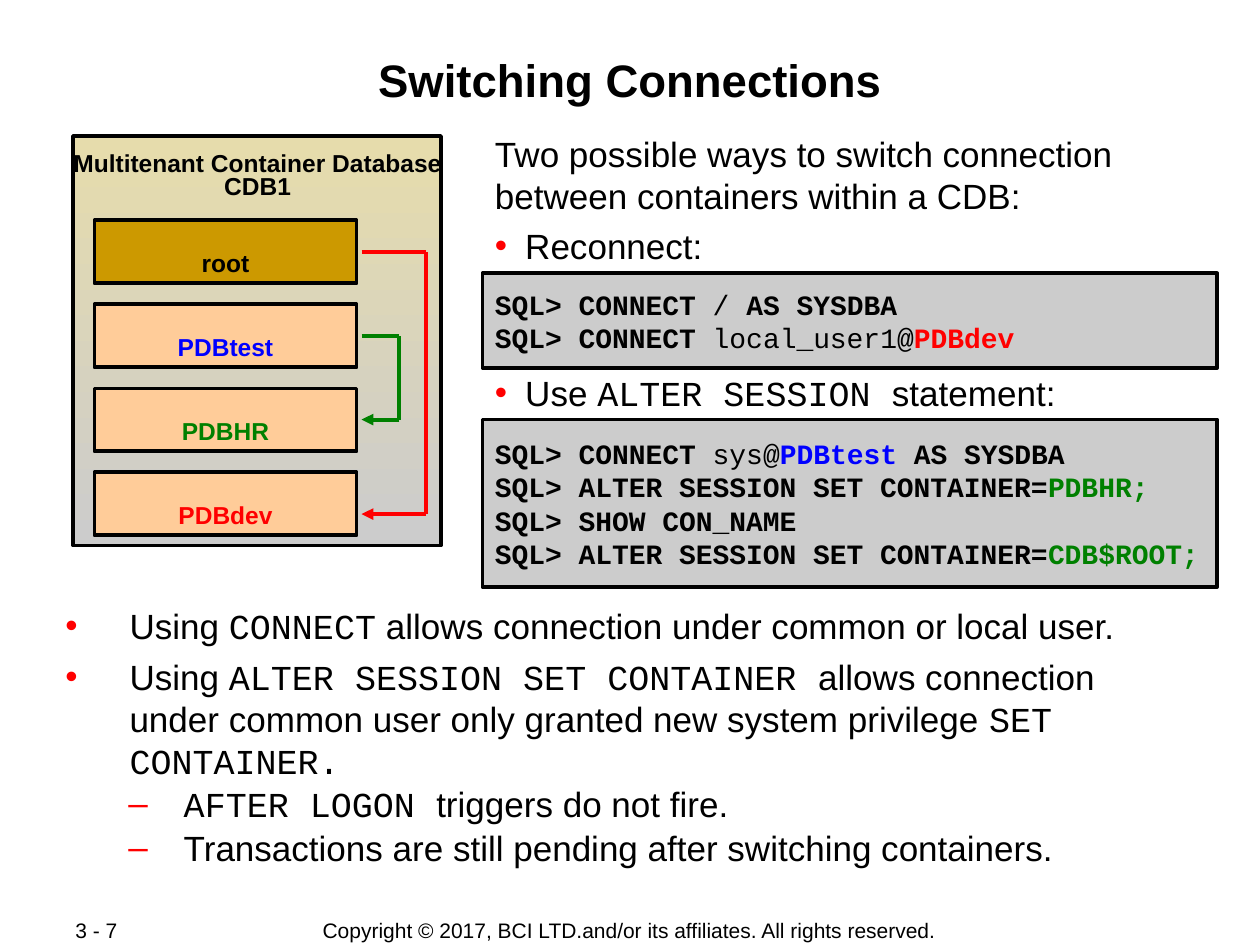
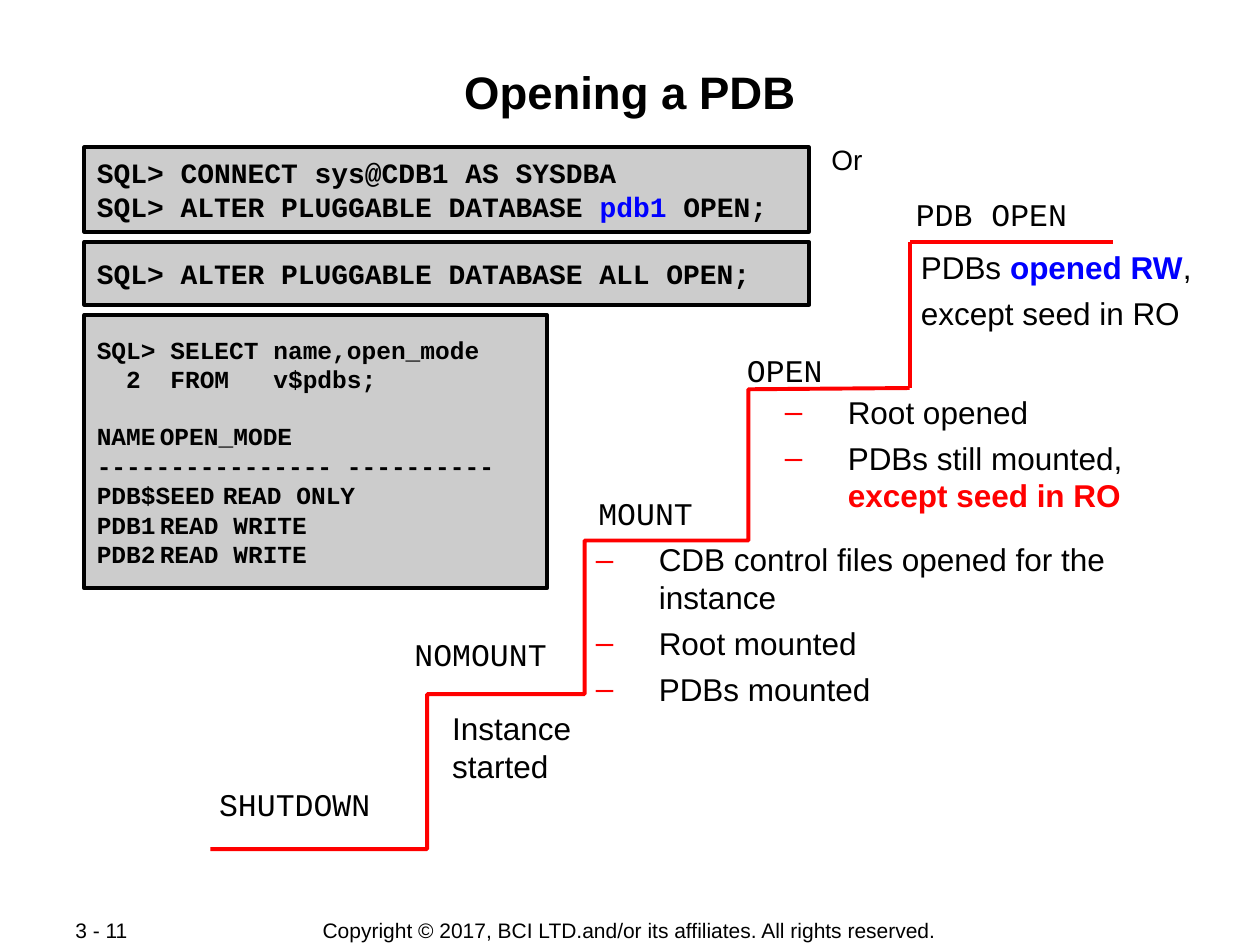
from dataclasses import dataclass
from lxml.etree import SubElement
from pptx import Presentation
from pptx.dml.color import RGBColor
from pptx.enum.shapes import MSO_CONNECTOR, MSO_SHAPE
from pptx.enum.text import MSO_ANCHOR, MSO_AUTO_SIZE, PP_ALIGN
from pptx.oxml.ns import qn
from pptx.util import Inches, Pt

BLACK = RGBColor(0x00, 0x00, 0x00)
RED = RGBColor(0xFF, 0x00, 0x00)
BLUE = RGBColor(0x00, 0x00, 0xFF)
GREEN = RGBColor(0x00, 0x80, 0x00)
GREY = RGBColor(0xCC, 0xCC, 0xCC)
SAND = RGBColor(0xE6, 0xDC, 0xAC)
GOLD = RGBColor(0xCC, 0x99, 0x00)
PEACH = RGBColor(0xFF, 0xCC, 0x99)
SANS, MONO = "Arial", "Courier New"
STROKE = Pt(2.25)
COPYRIGHT = "Copyright © 2017, BCI LTD.and/or its affiliates. All rights reserved."


@dataclass
class Span:
    """A piece of text; unset values come from its box."""
    text: str
    color: RGBColor = BLACK
    bold: bool | None = None
    font: str | None = None


@dataclass
class Line:
    """A paragraph of strings and spans with its spacing, bullet and tab stop."""
    spans: list
    before: float = 0
    bullet: str = ""
    margin: float = 0
    hang: float = 0
    tab: float = 0


def mono(text):
    """Return a span in the code font."""
    return Span(text, font=MONO)


def decorate(para, line):
    """Set the indents, bullet and tab stop of a paragraph."""
    props = para._p.get_or_add_pPr()
    props.set("marL", str(Inches(line.margin)))
    props.set("indent", str(Inches(-line.hang)))
    if line.bullet:
        color = SubElement(props, qn("a:buClr"))
        SubElement(color, qn("a:srgbClr"), val=str(RED))
        SubElement(props, qn("a:buFont"), typeface=SANS)
        SubElement(props, qn("a:buChar"), char=line.bullet)
    if line.tab:
        tabs = SubElement(props, qn("a:tabLst"))
        SubElement(tabs, qn("a:tab"), pos=str(Inches(line.tab)), algn="l")


def write(shape, lines, size, font=SANS, bold=False, align=PP_ALIGN.LEFT,
          anchor=MSO_ANCHOR.TOP, inset=0.05, wrap=True, spacing=None):
    """Fill a shape with lines of formatted text."""
    frame = shape.text_frame
    frame.word_wrap = wrap
    frame.auto_size = MSO_AUTO_SIZE.NONE
    frame.vertical_anchor = anchor
    frame.margin_left = frame.margin_right = Inches(0.1)
    frame.margin_top = frame.margin_bottom = Inches(inset)
    for index, line in enumerate(lines):
        if not isinstance(line, Line):
            line = Line(line if isinstance(line, list) else [line])
        para = frame.add_paragraph() if index else frame.paragraphs[0]
        decorate(para, line)
        para.alignment = align
        para.space_before = Pt(line.before)
        if spacing:
            para.line_spacing = spacing
        for span in line.spans:
            span = Span(span) if isinstance(span, str) else span
            run = para.add_run()
            run.text = span.text
            run.font.size = Pt(size)
            run.font.name = span.font or font
            run.font.bold = bold if span.bold is None else span.bold
            run.font.color.rgb = span.color


def add_text(page, box, lines, size, **style):
    """Add a text box with the given lines."""
    write(page.shapes.add_textbox(*map(Inches, box)), lines, size, **style)


def add_panel(page, box, fill=None):
    """Add a black-edged rectangle, filled plainly or with the sand gradient."""
    panel = page.shapes.add_shape(MSO_SHAPE.RECTANGLE, *map(Inches, box))
    panel.shadow.inherit = False
    panel.line.color.rgb = BLACK
    panel.line.width = STROKE
    if fill is not None:
        panel.fill.solid()
        panel.fill.fore_color.rgb = fill
    else:
        panel.fill.gradient()
        panel.fill.gradient_angle = 270
        for stop, color, position in zip(panel.fill.gradient_stops, (SAND, GREY), (0, 1)):
            stop.color.rgb = color
            stop.position = position
    return panel


def add_code(page, box, lines, size=16):
    """Add a grey panel of bold code."""
    write(add_panel(page, box, GREY), lines, size, font=MONO, bold=True,
          anchor=MSO_ANCHOR.MIDDLE, inset=0.01)


def add_line(page, start, end, color, arrow=False):
    """Add a straight line, with an arrowhead at its end when asked."""
    line = page.shapes.add_connector(MSO_CONNECTOR.STRAIGHT, *map(Inches, (*start, *end)))
    line.line.color.rgb = color
    line.line.width = STROKE
    if arrow:
        SubElement(line.line._get_or_add_ln(), qn("a:tailEnd"), type="triangle")
    SubElement(line._element.spPr, qn("a:effectLst"))


def add_page(deck, title, title_top, number):
    """Add a slide with its title and footer."""
    page = deck.slides.add_slide(deck.slide_layouts[5])
    heading = page.shapes.title
    heading.left, heading.top = Inches(0.67), Inches(title_top)
    heading.width, heading.height = Inches(8.66), Inches(0.96)
    write(heading, [title], 26, bold=True, align=PP_ALIGN.CENTER, inset=0.03)
    add_text(page, (2.75, 7.28, 4.49, 0.21), [COPYRIGHT], 12, align=PP_ALIGN.CENTER,
             anchor=MSO_ANCHOR.MIDDLE, wrap=False)
    add_text(page, (0.5, 7.28, 1.06, 0.2), [number], 12, anchor=MSO_ANCHOR.MIDDLE)
    return page


def draw_container(page, box):
    """Draw the container database, its parts and the switching arrows."""
    left, top, width, _ = box
    add_panel(page, box)
    add_text(page, (left - 0.16, top + 0.09, width + 0.33, 0.47),
             ["Multitenant Container Database CDB1"], 14, bold=True,
             align=PP_ALIGN.CENTER, spacing=0.8)
    members = [("root", GOLD, BLACK), ("PDBtest", PEACH, BLUE),
               ("PDBHR", PEACH, GREEN), ("PDBdev", PEACH, RED)]
    for index, (name, fill, color) in enumerate(members):
        member = add_panel(page, (left + 0.17, top + 0.67 + index * 2 / 3, 2.08, 0.5), fill)
        write(member, [Span(name, color)], 14, bold=True, align=PP_ALIGN.CENTER,
              anchor=MSO_ANCHOR.BOTTOM, wrap=False)
    edge = left + 2.29
    for lane, start, end, color in [(2.8, 0.92, 3, RED), (2.59, 1.59, 2.25, GREEN)]:
        lane, start, end = left + lane, top + start, top + end
        add_line(page, (edge, start), (lane, start), color)
        add_line(page, (lane, start), (lane, end), color)
        add_line(page, (lane, end), (edge, end), color, arrow=True)


def draw_methods(page, box):
    """Explain the two ways to switch, each with its code."""
    left, top, _, _ = box
    bullet = dict(bullet="•", margin=0.24, hang=0.24)
    add_text(page, box, [
        "Two possible ways to switch connection between containers within a CDB:",
        Line(["Reconnect:"], before=5, **bullet),
        Line(["Use ", mono("ALTER SESSION "), "statement:"], before=60, **bullet),
    ], 20)
    add_code(page, (left, top + 2.33, 5.83, 1.33), [
        ["SQL> CONNECT", Span(" sys@", bold=False), Span("PDBtest ", BLUE), "AS SYSDBA"],
        ["SQL> ALTER SESSION SET CONTAINER=", Span("PDBHR;", GREEN)],
        "SQL> SHOW CON_NAME",
        ["SQL> ALTER SESSION SET CONTAINER=", Span("CDB$ROOT;", GREEN)],
    ])
    add_code(page, (left, top + 1.17, 5.83, 0.75), [
        ["SQL> CONNECT", Span(" / ", bold=False), "AS SYSDBA"],
        ["SQL> CONNECT", Span(" local_user1@", bold=False), Span("PDBdev", RED)],
    ])


def draw_rules(page, box):
    """List what each way of switching allows."""
    point = dict(bullet="•", margin=0.51, hang=0.51)
    detail = dict(before=0.7, bullet="–", margin=0.94, hang=0.44)
    add_text(page, box, [
        Line(["Using ", mono("CONNECT"),
              " allows connection under common or local user."], **point),
        Line(["Using ", mono("ALTER SESSION SET CONTAINER "),
              "allows connection under common user only granted new system privilege ",
              mono("SET CONTAINER.")], before=5, **point),
        Line([mono("AFTER LOGON "), "triggers do not fire."], **detail),
        Line(["Transactions are still pending after switching containers."], **detail),
    ], 20)


def draw_commands(page, box):
    """Stack the opening commands and the query output."""
    left, top, width, _ = box
    add_code(page, (left, top, width, 0.67), [
        "SQL> CONNECT sys@CDB1 AS SYSDBA",
        ["SQL> ALTER PLUGGABLE DATABASE ", Span("pdb1", BLUE), " OPEN;"],
    ])
    add_code(page, (left, top + 0.75, width, 0.5),
             ["SQL> ALTER PLUGGABLE DATABASE ALL OPEN;"])
    add_text(page, (left + width + 0.08, top - 0.09, 0.45, 0.63), ["Or"], 16, wrap=False)
    rows = ["PDB$SEED\tREAD ONLY", "PDB1\tREAD WRITE", "PDB2\tREAD WRITE"]
    add_code(page, (left, top + 1.33, 3.67, 2.17), [
        "SQL> SELECT name,open_mode",
        "  2  FROM   v$pdbs;",
        Line(["NAME\tOPEN_MODE"], before=15.9, tab=2),
        "---------------- ----------",
        *[Line([row], tab=2) for row in rows],
    ], size=14)


def draw_staircase(page, box):
    """Draw the startup stages as rising steps with their notes."""
    left, top, width, height = box
    corners = [(0, 4.82), (1.72, 4.82), (1.72, 3.59), (2.97, 3.59), (2.97, 2.37),
               (4.27, 2.37), (4.27, 1.17), (5.55, 1.16)]
    points = [(Inches(left + x), Inches(top + y)) for x, y in corners]
    builder = page.shapes.build_freeform(*points[0])
    builder.add_line_segments(points[1:], close=False)
    steps = builder.convert_to_shape()
    steps.shadow.inherit = False
    steps.fill.background()
    steps.line.color.rgb = RED
    steps.line.width = STROKE
    landing = left + 5.55
    add_line(page, (landing, top), (landing, top + 1.16), RED)
    add_line(page, (left + width, top), (landing, top), RED)

    stages = [("SHUTDOWN", -0.03, 4.26), ("NOMOUNT", 1.52, 3.07), ("MOUNT", 2.98, 1.95),
              ("OPEN", 4.16, 0.82), ("PDB OPEN", 5.5, -0.42)]
    for name, x, y in stages:
        add_text(page, (left + x, top + y, 1.78, 0.4), [name], 18, font=MONO)

    dash = dict(bullet="–", margin=0.63, hang=0.5)
    notes = [
        ((1.82, 3.66, 1.89, 0.7), ["Instance", "started"]),
        ((2.83, 2.32, 4.75, 2.17), [
            Line(["CDB control files opened for the instance"], **dash),
            Line(["Root mounted"], before=4.5, **dash),
            Line(["PDBs mounted"], before=4.5, **dash)]),
        ((4.33, 1.15, 3.25, 2.17), [
            Line(["Root opened"], **dash),
            Line(["PDBs still mounted, ", Span("except seed in RO", RED, True)],
                 before=4.5, **dash)]),
        ((5.41, 0, 2.67, 0.83), [
            Line(["PDBs ", Span("opened RW", BLUE, True), ","], margin=0.13),
            Line(["except seed in RO"], before=4.5, margin=0.13)]),
    ]
    for (x, y, note_width, note_height), lines in notes:
        add_text(page, (left + x, top + y, note_width, note_height), lines, 18)


def main():
    """Build and save the deck."""
    deck = Presentation()
    deck.slide_width, deck.slide_height = Inches(10), Inches(7.5)

    switching = add_page(deck, "Switching Connections", 0.38, "3 - 7")
    draw_container(switching, (0.58, 1.08, 2.92, 3.25))
    draw_methods(switching, (3.83, 1, 5.42, 1.67))
    draw_rules(switching, (0.42, 4.75, 9, 1.25))

    opening = add_page(deck, "Opening a PDB", 0.48, "3 - 11")
    draw_staircase(opening, (1.67, 1.92, 7.16, 4.82))
    draw_commands(opening, (0.67, 1.17, 5.75, 3.5))

    deck.save("out.pptx")


if __name__ == "__main__":
    main()
